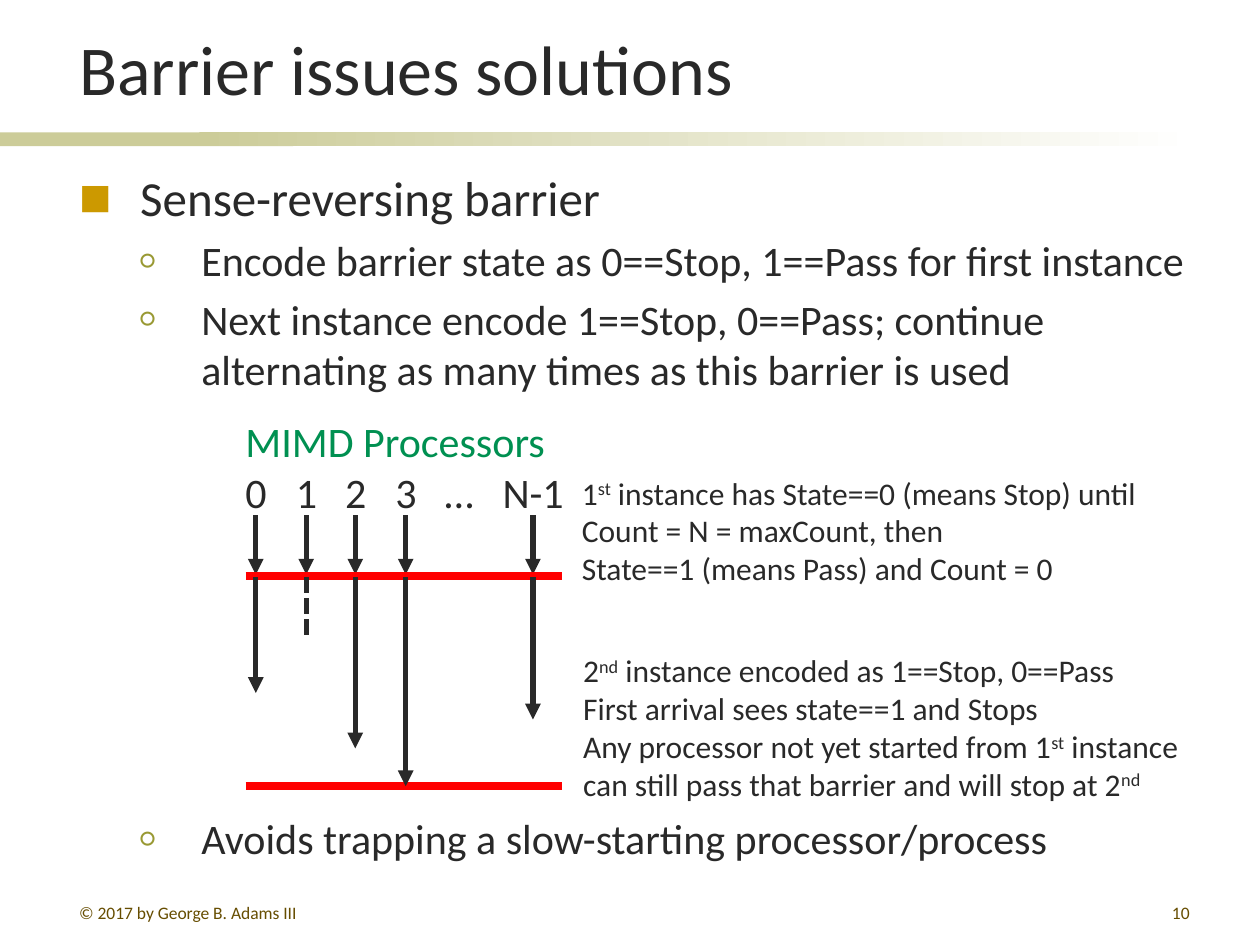
from collections import namedtuple

from lxml import etree
from pptx import Presentation
from pptx.dml.color import RGBColor
from pptx.enum.dml import MSO_LINE
from pptx.enum.shapes import MSO_CONNECTOR, MSO_SHAPE
from pptx.enum.text import MSO_ANCHOR, PP_ALIGN
from pptx.oxml.ns import qn
from pptx.util import Inches, Pt

RECTANGLE = MSO_SHAPE.RECTANGLE
STRAIGHT = MSO_CONNECTOR.STRAIGHT
DOTTED = MSO_LINE.SQUARE_DOT
TOP, BOTTOM = MSO_ANCHOR.TOP, MSO_ANCHOR.BOTTOM
LEFT, RIGHT = PP_ALIGN.LEFT, PP_ALIGN.RIGHT

FONT = "Calibri"
INK, GREEN, RED, BROWN = "292929", "009051", "FF0000", "664D00"
SAND, WHITE, GOLD, OLIVE = "CCCC99", "FFFFFF", "CC9900", "999933"

COLUMNS, ROWS = 100, 75
SLIDE_WIDTH, SLIDE_HEIGHT = Inches(10), Inches(7.5)

Box = namedtuple("Box", "left top width height")


def col(count):
    """Return the length of a number of grid columns."""
    return int(SLIDE_WIDTH * count / COLUMNS)


def row(count):
    """Return the length of a number of grid rows."""
    return int(SLIDE_HEIGHT * count / ROWS)


def place(box):
    """Return a grid box as slide lengths."""
    return col(box.left), row(box.top), col(box.width), row(box.height)


def color(value):
    """Turn a hex string into a colour."""
    return RGBColor.from_string(value)


def add_element(parent, tag, **attributes):
    """Append a drawing element with its attributes."""
    return etree.SubElement(parent, qn(tag), {key: str(value) for key, value in attributes.items()})


def add_span(para, text, size, ink=INK, raised=False):
    """Add one run of text to a paragraph."""
    span = para.add_run()
    span.text = text
    span.font.name = FONT
    span.font.size = Pt(size)
    span.font.color.rgb = color(ink)
    if raised:
        span.font._element.set("baseline", "30000")


def add_frame(page, box, wrap=True, anchor=TOP):
    """Add an empty text box and return its frame."""
    frame = page.shapes.add_textbox(*place(box)).text_frame
    frame.word_wrap = wrap
    frame.vertical_anchor = anchor
    return frame


def next_para(frame, index):
    """Return the first paragraph of a frame, or a new one."""
    return frame.add_paragraph() if index else frame.paragraphs[0]


def add_label(page, box, text, size, ink, align=LEFT, anchor=TOP):
    """Add a text box that holds a single line."""
    para = add_frame(page, box, anchor=anchor).paragraphs[0]
    para.alignment = align
    add_span(para, text, size, ink)


def add_line(page, start, end, ink=INK, width=3, arrow=False, dash=None):
    """Draw a straight line between two grid points."""
    line = page.shapes.add_connector(
        STRAIGHT, col(start[0]), row(start[1]), col(end[0]), row(end[1]))
    line.line.color.rgb = color(ink)
    line.line.width = Pt(width)
    if dash:
        line.line.dash_style = dash
    if arrow:
        add_element(line.line._get_or_add_ln(), "a:tailEnd", type="triangle")
    add_element(line._element.spPr, "a:effectLst")


def add_band(page, box):
    """Draw the rule under the title, fading out to the right."""
    solid = Box(box.left, box.top, box.width * 0.245, box.height)
    fading = Box(box.left + box.width / 6, box.top, box.width * 5 / 6, box.height)
    for part in (solid, fading):
        bar = page.shapes.add_shape(RECTANGLE, *place(part))
        bar.shadow.inherit = False
        bar.line.fill.background()
        if part is solid:
            bar.fill.solid()
            bar.fill.fore_color.rgb = color(SAND)
        else:
            bar.fill.gradient()
            bar.fill.gradient_angle = 0
            for stop, tint in zip(bar.fill.gradient_stops, (SAND, WHITE)):
                stop.color.rgb = color(tint)


def add_bullet(para, level):
    """Give a paragraph the indent and bullet of its level."""
    mark, tint, percent = (("■", GOLD, 70), ("○", OLIVE, 65))[level]
    para.level = level
    settings = para._p.get_or_add_pPr()
    settings.set("marL", str(col(4.85 * (level + 1))))
    settings.set("indent", str(-col(4.85)))
    add_element(add_element(settings, "a:buClr"), "a:srgbClr", val=tint)
    add_element(settings, "a:buSzPct", val=percent * 1000)
    add_element(settings, "a:buFont", typeface=FONT)
    add_element(settings, "a:buChar", char=mark)


def add_body(page, box, diagram_gap):
    """Write the bullet list, leaving a gap for the diagram."""
    frame = add_frame(page, box)
    items = (
        (0, 28, 5.6, "Sense-reversing barrier"),
        (1, 24, 4.8, "Encode barrier state as 0==Stop, 1==Pass for first instance"),
        (1, 24, 4.8, "Next instance encode 1==Stop, 0==Pass; continue "
                     "alternating as many times as this barrier is used"),
        (1, 24, diagram_gap, "Avoids trapping a slow-starting processor/process"),
    )
    for index, (level, size, gap, text) in enumerate(items):
        para = next_para(frame, index)
        if index:
            para.space_before = Pt(gap)
        add_bullet(para, level)
        add_span(para, text, size)


def add_processor_heading(page, box):
    """Write the processor numbers on tab stops under their heading."""
    frame = add_frame(page, box, wrap=False)
    add_span(frame.paragraphs[0], "MIMD Processors", 24, GREEN)
    para = frame.add_paragraph()
    stops = add_element(para._p.get_or_add_pPr(), "a:tabLst")
    for stop in (4, 7.9, 11.9, 15.8, 20.4):
        add_element(stops, "a:tab", pos=col(stop), algn="l")
    add_span(para, "\t".join(("0", "1", "2", "3", "…", "N-1")), 24)


def add_barriers(page, box):
    """Draw processors arriving at the first barrier and running to the second."""
    first, second = box.top + 4.8, box.top + box.height
    lanes = [box.left + offset for offset in (0.8, 4.8, 8.7, 12.7, 22.8)]
    for lane in lanes:
        add_line(page, (lane, box.top), (lane, first - 0.1), arrow=True)
    for level in (first, second):
        add_line(page, (box.left, level), (box.left + box.width, level), RED, 4.5)
    for lane, reach in zip(lanes, (9.3, 4.9, 13.7, 16.7, 11.4)):
        waiting = lane == lanes[1]
        add_line(page, (lane, first + 0.1), (lane, first + reach),
                 arrow=not waiting, dash=DOTTED if waiting else None)


def add_note(page, box, lines):
    """Write note lines, whose odd parts are superscripts."""
    frame = add_frame(page, box, wrap=False)
    for index, parts in enumerate(lines):
        para = next_para(frame, index)
        for position, text in enumerate(parts):
            add_span(para, text, 18, raised=position % 2 == 1)


def main():
    """Build the slide and save it."""
    deck = Presentation()
    deck.slide_width, deck.slide_height = SLIDE_WIDTH, SLIDE_HEIGHT
    page = deck.slides.add_slide(deck.slide_layouts[6])
    add_band(page, Box(0, 10.5, 95, 1.1))
    add_label(page, Box(5.3, 1.1, 90.1, 8.1), "Barrier issues solutions", 40, INK, anchor=BOTTOM)
    add_body(page, Box(5.3, 12.8, 91.3, 57.5), 239)
    add_label(page, Box(5.3, 71.1, 21.7, 2.1), "© 2017 by George B. Adams III", 10, BROWN)
    add_label(page, Box(74.6, 71.1, 20.8, 2.1), "10", 10, BROWN, RIGHT)
    add_processor_heading(page, Box(18.5, 32.5, 27.4, 9.1))
    add_barriers(page, Box(19.5, 40.9, 25.1, 21.5))
    add_note(page, Box(45.2, 37.1, 46.7, 10.1), (
        ("1", "st", " instance has State==0 (means Stop) until"),
        ("Count = N = maxCount, then",),
        ("State==1 (means Pass) and Count = 0",),
    ))
    add_note(page, Box(45.3, 51.2, 49.9, 13.1), (
        ("2", "nd", " instance encoded as 1==Stop, 0==Pass"),
        ("First arrival sees state==1 and Stops",),
        ("Any processor not yet started from 1", "st", " instance"),
        ("can still pass that barrier and will stop at 2", "nd"),
    ))
    deck.save("out.pptx")


if __name__ == "__main__":
    main()
